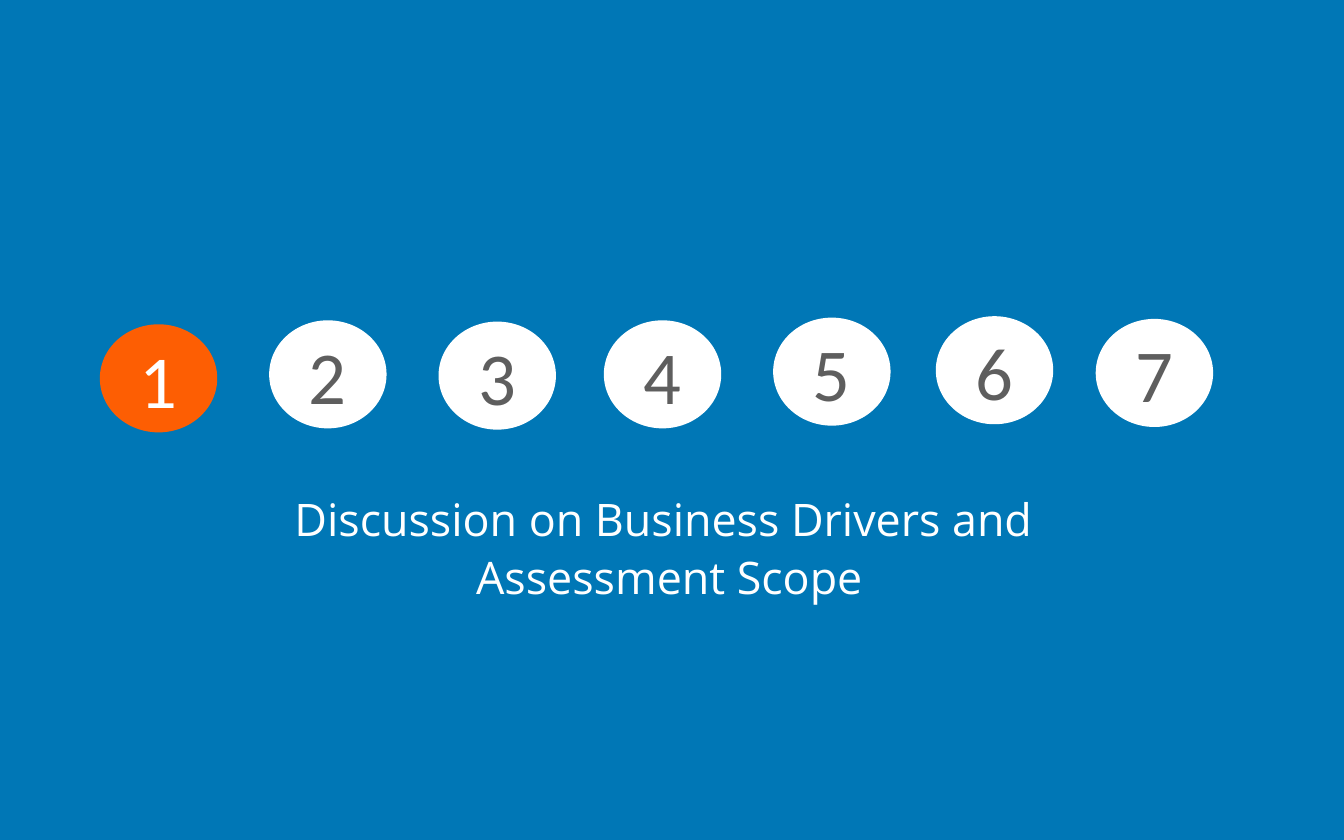
from pptx import Presentation
from pptx.dml.color import RGBColor
from pptx.enum.shapes import MSO_SHAPE
from pptx.enum.text import MSO_ANCHOR, PP_ALIGN
from pptx.util import Inches, Pt

BLUE = RGBColor(0x00, 0x77, 0xB6)
ORANGE = RGBColor(0xFD, 0x5E, 0x03)
WHITE = RGBColor(0xFF, 0xFF, 0xFF)
GREY = RGBColor(0x5E, 0x5E, 0x5E)
OVAL = MSO_SHAPE.OVAL
MIDDLE = MSO_ANCHOR.MIDDLE
CENTER = PP_ALIGN.CENTER

CURRENT_STEP = 1
STEP_POSITIONS = [(0.75, 2.42), (2.01, 2.39), (3.27, 2.4), (4.5, 2.39),
                  (5.76, 2.37), (6.97, 2.36), (8.16, 2.38)]


def style_text(frame, font_name, size, color):
    frame.word_wrap = True
    frame.vertical_anchor = MIDDLE
    for paragraph in frame.paragraphs:
        paragraph.alignment = CENTER
        for run in paragraph.runs:
            run.font.name = font_name
            run.font.size = Pt(size)
            run.font.color.rgb = color


prs = Presentation()
prs.slide_width = Inches(10)
prs.slide_height = Inches(6.25)
slide = prs.slides.add_slide(prs.slide_layouts[6])
slide.background.fill.solid()
slide.background.fill.fore_color.rgb = BLUE

title = slide.shapes.add_textbox(Inches(1.13), Inches(2.24), Inches(7.7), Inches(3.13))
title.text_frame.text = "Discussion on Business Drivers and \vAssessment Scope"
title.text_frame.margin_top = Inches(0.55)
title.text_frame.paragraphs[0].line_spacing = 1.09
style_text(title.text_frame, "Open Sans", 24, WHITE)

for number, (left, top) in enumerate(STEP_POSITIONS, start=1):
    is_current = number == CURRENT_STEP
    circle_color = ORANGE if is_current else WHITE
    step = slide.shapes.add_shape(OVAL, Inches(left), Inches(top), Inches(0.86), Inches(0.79))
    step.shadow.inherit = False
    step.fill.solid()
    step.fill.fore_color.rgb = circle_color
    step.line.color.rgb = circle_color
    step.line.width = Pt(1)
    step.text_frame.text = str(number)
    style_text(step.text_frame, "Calibri", 40, WHITE if is_current else GREY)

prs.save("out.pptx")
